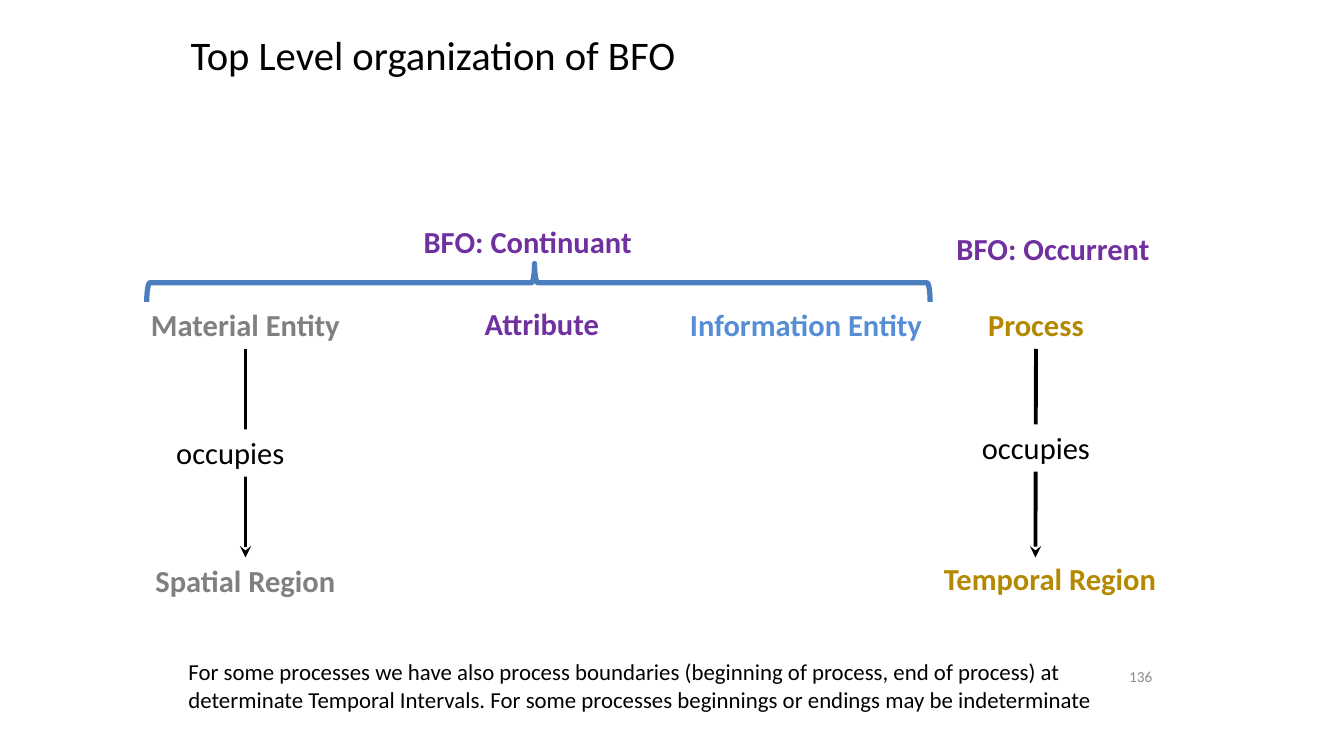
from pptx import Presentation
from pptx import util as u
from pptx.dml.color import RGBColor
from pptx.enum import shapes, text
from pptx.oxml.ns import qn
from lxml import etree

BLACK = RGBColor(0x00, 0x00, 0x00)
WHITE = RGBColor(0xFF, 0xFF, 0xFF)
GREY = RGBColor(0x80, 0x80, 0x80)
PALE = RGBColor(0x8C, 0x8C, 0x8C)
GOLD = RGBColor(0xB4, 0x89, 0x00)
SKY = RGBColor(0x55, 0x8E, 0xD5)
BLUE = RGBColor(0x4B, 0x7E, 0xBC)
PURPLE = RGBColor(0x70, 0x30, 0xA0)

LEFT = text.PP_ALIGN.LEFT
RIGHT = text.PP_ALIGN.RIGHT
CENTER = text.PP_ALIGN.CENTER
TOP = text.MSO_ANCHOR.TOP
MIDDLE = text.MSO_ANCHOR.MIDDLE
ROW = 0.47


def write(shape, words, size=21.8, color=BLACK, bold=False, align=CENTER,
          anchor=TOP, inset=True):
    frame = shape.text_frame
    frame.word_wrap = True
    frame.auto_size = text.MSO_AUTO_SIZE.NONE
    frame.vertical_anchor = anchor
    if not inset:
        frame.margin_left = frame.margin_right = 0
        frame.margin_top = frame.margin_bottom = 0
    para = frame.paragraphs[0]
    para.alignment = align
    run = para.add_run()
    run.text = words
    font = run.font
    font.name = "Calibri"
    font.size = u.Pt(size)
    font.bold = bold
    font.color.rgb = color


def place(shape, *box):
    shape.left, shape.top, shape.width, shape.height = map(u.Inches, box)


def label(slide, words, left, top, width, height=ROW, **style):
    box = slide.shapes.add_textbox(*map(u.Inches, (left, top, width, height)))
    write(box, words, **style)
    return box


def mask(slide, words, left, top, width):
    rect = slide.shapes.add_shape(
        shapes.MSO_SHAPE.RECTANGLE, *map(u.Inches, (left, top, width, ROW)))
    rect.shadow.inherit = False
    rect.fill.solid()
    rect.fill.fore_color.rgb = WHITE
    rect.line.fill.background()
    write(rect, words)


def arrow(slide, x, start, end=None):
    line = slide.shapes.add_connector(
        shapes.MSO_CONNECTOR.STRAIGHT,
        u.Inches(x), u.Inches(3.45), u.Inches(x), u.Inches(5.53))
    line.begin_connect(start, 2)
    if end is not None:
        line.end_connect(end, 0)
    line.line.color.rgb = BLACK
    line.line.width = u.Pt(2.75)
    tip = etree.SubElement(line.line._get_or_add_ln(), qn("a:tailEnd"))
    tip.set("type", "stealth")
    etree.SubElement(line._element.spPr, qn("a:effectLst"))


def brace(slide, left, top, width, height):
    shape = slide.shapes.add_shape(
        shapes.MSO_SHAPE.LEFT_BRACE,
        *map(u.Inches, (left, top, width, height)))
    shape.rotation = 90
    shape.adjustments[0] = 0.083
    shape.adjustments[1] = 0.505
    shape.shadow.inherit = False
    shape.fill.background()
    shape.line.color.rgb = BLUE
    shape.line.width = u.Pt(3.75)


def main():
    deck = Presentation()
    deck.slide_width = u.Inches(13.33)
    deck.slide_height = u.Inches(7.5)
    slide = deck.slides.add_slide(deck.slide_layouts[5])

    title = slide.shapes.title
    place(title, 1.89, 0.3, 9.54, 0.49)
    write(title, "Top Level organization of BFO", size=29, align=LEFT,
          inset=False)

    label(slide, "136", 8.96, 6.51, 2.47, 0.4, size=10.9, color=PALE,
          align=RIGHT, anchor=MIDDLE, inset=False)

    heads = {}
    for words, left, top, width, color in (
            ("BFO: Continuant", 3.95, 2.16, 2.57, PURPLE),
            ("BFO: Occurrent", 9.16, 2.23, 2.57, PURPLE),
            ("Material Entity", 1.15, 2.99, 2.57, GREY),
            ("Attribute", 4.09, 2.98, 2.57, PURPLE),
            ("Information Entity", 5.99, 2.99, 4.01, SKY),
            ("Process", 8.82, 2.99, 2.91, GOLD),
            ("Spatial Region", 1.15, 5.53, 2.57, GREY),
            ("Temporal Region", 8.96, 5.51, 2.91, GOLD)):
        heads[words] = label(slide, words, left, top, width, color=color,
                             bold=True)

    brace(slide, 5.15, -1.08, 0.38, 7.77)
    arrow(slide, 2.43, heads["Material Entity"], heads["Spatial Region"])
    arrow(slide, 10.27, heads["Process"])
    mask(slide, "occupies", 1, 4.26, 2.57)
    mask(slide, "occupies", 8.27, 4.21, 4.01)

    label(slide, "For some processes we have also process boundaries "
          "(beginning of process, end of process) at determinate Temporal "
          "Intervals. For some processes beginnings or endings may be "
          "indeterminate", 1.77, 6.48, 9.67, 0.65, size=16.3, align=LEFT)

    deck.save("out.pptx")


if __name__ == "__main__":
    main()
